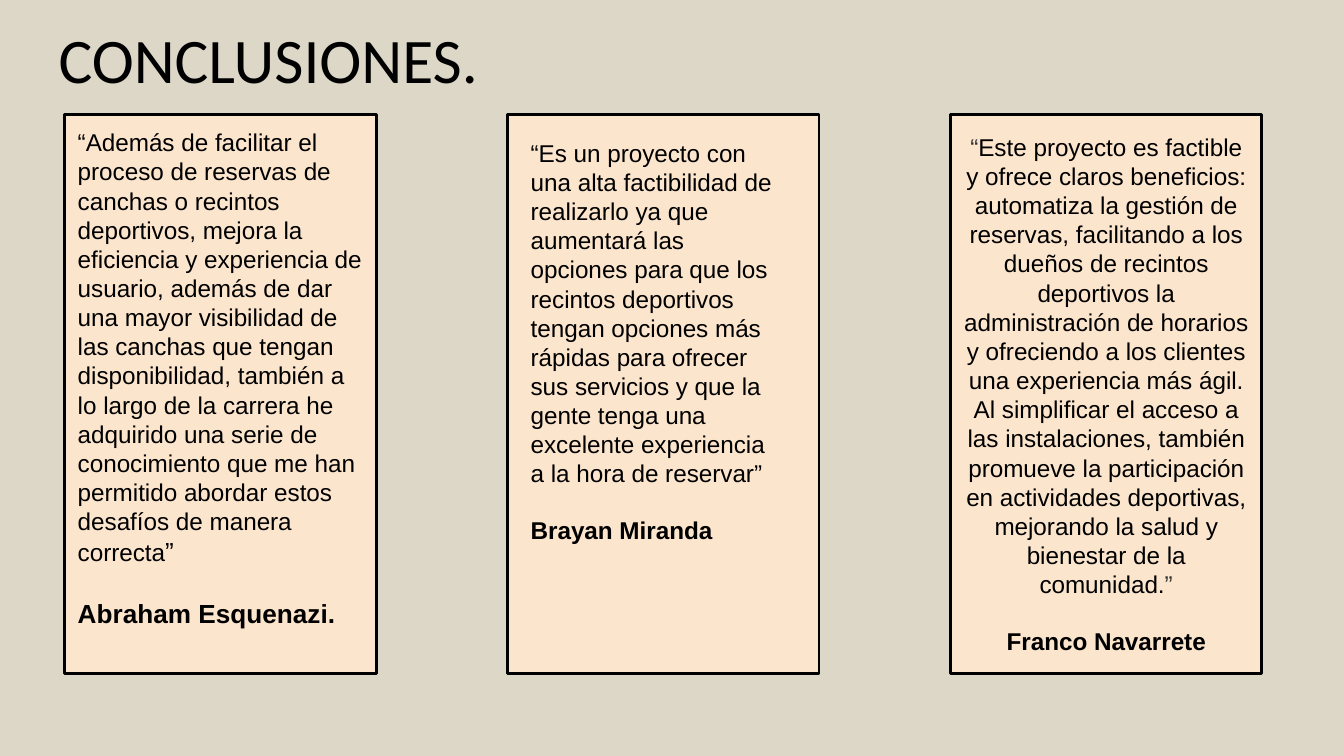
from pptx import Presentation
from pptx.dml.color import RGBColor
from pptx.enum.shapes import MSO_SHAPE
from pptx.enum.text import MSO_ANCHOR, PP_ALIGN
from pptx.util import Cm, Pt

RECTANGLE = MSO_SHAPE.RECTANGLE
TOP, MIDDLE = MSO_ANCHOR.TOP, MSO_ANCHOR.MIDDLE
LEFT, CENTER = PP_ALIGN.LEFT, PP_ALIGN.CENTER

SAND = RGBColor(0xDD, 0xD7, 0xC8)
PEACH = RGBColor(0xFC, 0xE5, 0xCD)
BLACK = RGBColor(0, 0, 0)
GREY = RGBColor(0x32, 0x32, 0x32)

CARD_LEFT, CARD_TOP, CARD_PITCH = 1.22, 2.16, 8.37
CARD_WIDTH, CARD_HEIGHT = 5.89, 10.57
INSET = Cm(0.25)

ABRAHAM_QUOTE = (
    "“Además de facilitar el proceso de reservas de canchas o recintos deportivos, "
    "mejora la eficiencia y experiencia de usuario, además de dar una mayor visibilidad "
    "de las canchas que tengan disponibilidad, también a lo largo de la carrera he "
    "adquirido una serie de conocimiento que me han permitido abordar estos desafíos "
    "de manera correcta"
)
BRAYAN_QUOTE = (
    "“Es un proyecto con una alta factibilidad de realizarlo ya que aumentará las "
    "opciones para que los recintos deportivos tengan opciones más rápidas para ofrecer "
    "sus servicios y que la gente tenga una excelente experiencia a la hora de reservar”"
)
FRANCO_QUOTE = (
    "Este proyecto es factible y ofrece claros beneficios: automatiza la gestión de "
    "reservas, facilitando a los dueños de recintos deportivos la administración de "
    "horarios y ofreciendo a los clientes una experiencia más ágil. Al simplificar el "
    "acceso a las instalaciones, también promueve la participación en actividades "
    "deportivas, mejorando la salud y bienestar de la comunidad."
)


def prepare_frame(frame, anchor=TOP):
    """Set wrapping, insets and vertical anchor of a text frame."""
    frame.word_wrap = True
    frame.vertical_anchor = anchor
    frame.margin_left = frame.margin_right = INSET
    frame.margin_top = frame.margin_bottom = INSET


def set_font(font, size, color=BLACK, name="Arial", bold=False):
    """Apply the typeface, size, colour and weight to a font."""
    font.name = name
    font.size = Pt(size)
    font.bold = bold
    font.color.rgb = color


def add_title(slide, wording):
    """Add the slide title."""
    title = slide.shapes.add_textbox(Cm(0.18), Cm(0.13), Cm(9.78), Cm(1.6))
    prepare_frame(title.text_frame)
    heading = title.text_frame.paragraphs[0]
    heading.text = wording
    heading.alignment = CENTER
    set_font(heading.font, 34, name="Calibri")


def add_card(slide, column):
    """Add the outlined card of one column."""
    card = slide.shapes.add_shape(
        RECTANGLE, Cm(CARD_LEFT + column * CARD_PITCH), Cm(CARD_TOP),
        Cm(CARD_WIDTH), Cm(CARD_HEIGHT))
    card.shadow.inherit = False
    card.fill.solid()
    card.fill.fore_color.rgb = PEACH
    card.line.color.rgb = BLACK
    card.line.width = Pt(1.5)
    return card


def write_opinion(frame, pieces, author, author_size=13, alignment=LEFT, anchor=TOP):
    """Write a quote from (text, size, colour) pieces, then its author."""
    prepare_frame(frame, anchor)
    quote = frame.paragraphs[0]
    quote.alignment = alignment
    for wording, size, color in pieces:
        run = quote.add_run()
        run.text = wording
        set_font(run.font, size, color)
    signature = frame.add_paragraph()
    signature.text = author
    signature.alignment = alignment
    signature.space_before = Pt(author_size * 1.15)
    set_font(signature.font, author_size, bold=True)


def main():
    """Build the conclusions slide."""
    deck = Presentation()
    deck.slide_width, deck.slide_height = Cm(25.4), Cm(14.29)
    slide = deck.slides.add_slide(deck.slide_layouts[6])
    slide.background.fill.solid()
    slide.background.fill.fore_color.rgb = SAND

    add_title(slide, "CONCLUSIONES.")
    abraham_card, _, franco_card = [add_card(slide, column) for column in range(3)]
    brayan_text = slide.shapes.add_textbox(Cm(9.78), Cm(2.36), Cm(5.21), Cm(6.91))

    write_opinion(abraham_card.text_frame,
                  [(ABRAHAM_QUOTE, 13, BLACK), ("”", 14, BLACK)],
                  "Abraham Esquenazi.", author_size=14)
    write_opinion(brayan_text.text_frame, [(BRAYAN_QUOTE, 13, BLACK)], "Brayan Miranda")
    write_opinion(franco_card.text_frame,
                  [("“", 13, GREY), (FRANCO_QUOTE, 13, BLACK), ("”", 13, GREY)],
                  "Franco Navarrete", alignment=CENTER, anchor=MIDDLE)
    deck.save("out.pptx")


if __name__ == "__main__":
    main()
